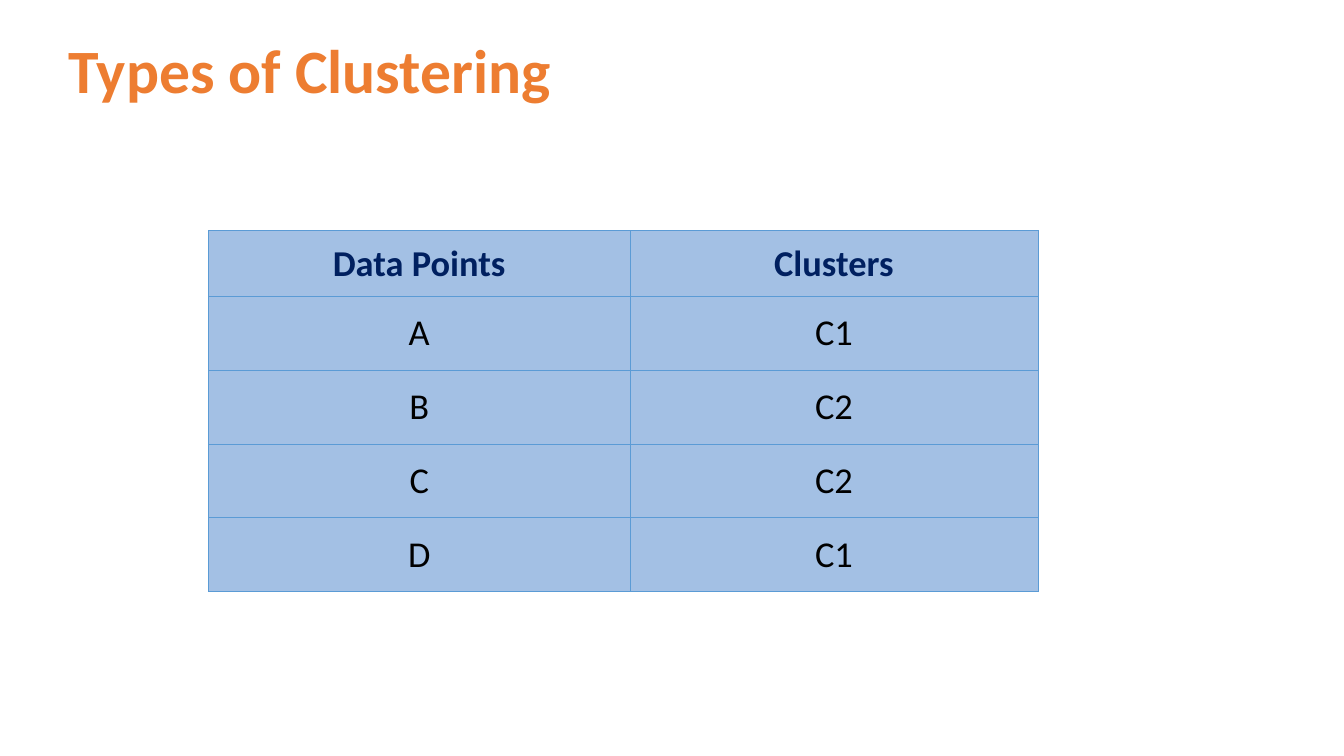
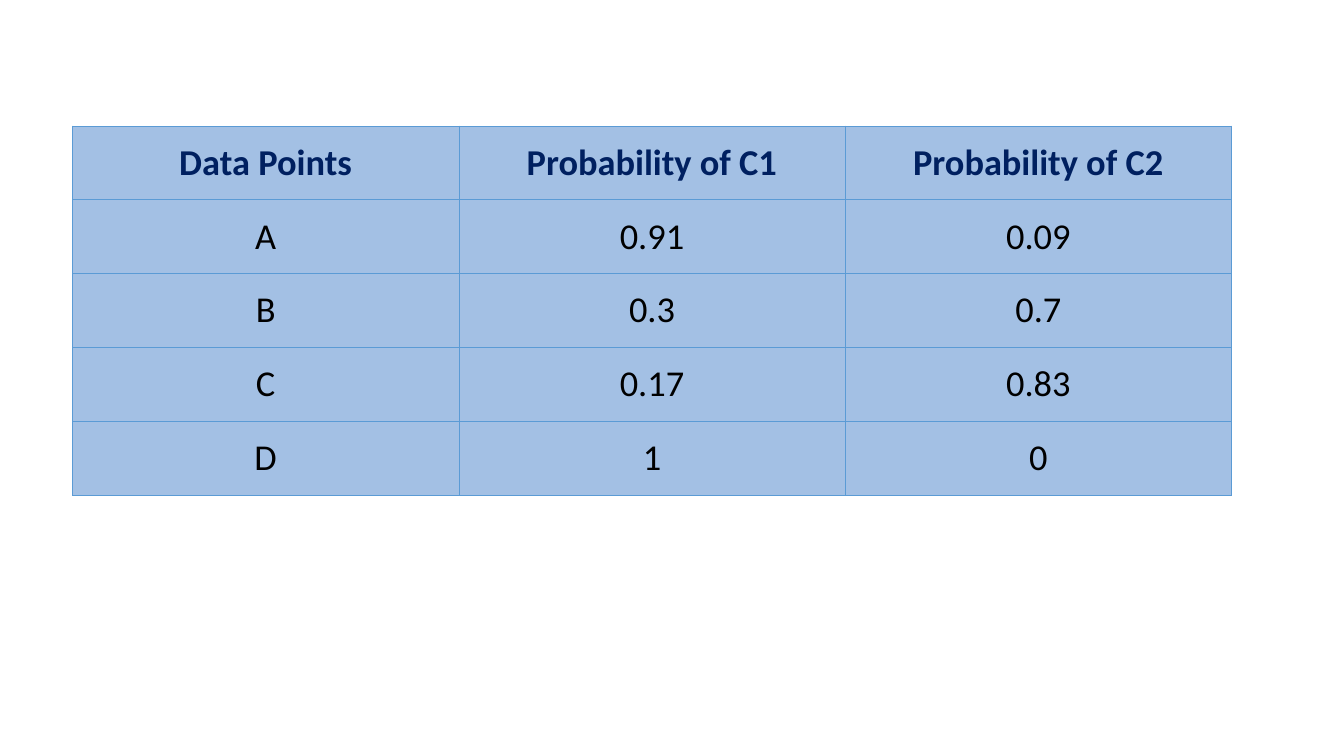
from dataclasses import dataclass

import pptx
import pptx.dml.color
import pptx.enum.text
import pptx.oxml
import pptx.oxml.ns
import pptx.presentation
import pptx.slide
import pptx.table
import pptx.text.text
import pptx.util

Pt = pptx.util.Pt
RGBColor = pptx.dml.color.RGBColor

# Shared style
FONT = "Calibri"
ORANGE = RGBColor(0xED, 0x7D, 0x31)
NAVY = RGBColor(0x00, 0x20, 0x60)
BLACK = RGBColor(0x00, 0x00, 0x00)
CELL_BLUE = RGBColor(0xA3, 0xC0, 0xE4)
BORDER_BLUE = RGBColor(0x5B, 0x9B, 0xD5)
TITLE_SIZE = 44
TABLE_SIZE = 26
SIDE_MARGIN = 7.2
ROW_MARGIN = 10.5
ROW_HEIGHT = 52.7


@dataclass(frozen=True)
class TableContent:
    left: float
    top: float
    column_widths: tuple[float, ...]
    rows: tuple[tuple[str, ...], ...]
    header_height: float = ROW_HEIGHT
    header_margin: float = ROW_MARGIN


HARD_CLUSTERS = TableContent(
    left=149,
    top=164.7,
    column_widths=(301, 291.5),
    rows=(
        ("Data Points", "Clusters"),
        ("A", "C1"),
        ("B", "C2"),
        ("C", "C2"),
        ("D", "C1"),
    ),
    header_height=47.1,
    header_margin=7.2,
)
SOFT_CLUSTERS = TableContent(
    left=51.8,
    top=90,
    column_widths=(276,) * 3,
    rows=(
        ("Data Points", "Probability of C1", "Probability of C2"),
        ("A", "0.91", "0.09"),
        ("B", "0.3", "0.7"),
        ("C", "0.17", "0.83"),
        ("D", "1", "0"),
    ),
)


def format_runs(paragraph: pptx.text.text._Paragraph, size: float,
                color: RGBColor, bold: bool) -> None:
    for run in paragraph.runs:
        run.font.name = FONT
        run.font.size = Pt(size)
        run.font.bold = bold
        run.font.color.rgb = color


def add_title(slide: pptx.slide.Slide, text: str) -> None:
    shape = slide.shapes.add_textbox(Pt(41.8), Pt(0), Pt(828), Pt(104.4))
    text_frame = shape.text_frame
    text_frame.word_wrap = True
    text_frame.vertical_anchor = pptx.enum.text.MSO_ANCHOR.MIDDLE
    text_frame.text = text
    paragraph = text_frame.paragraphs[0]
    paragraph.line_spacing = 0.9
    format_runs(paragraph, TITLE_SIZE, ORANGE, bold=True)


def add_borders(cell: pptx.table._Cell) -> None:
    properties = cell._tc.get_or_add_tcPr()
    for side in ("lnL", "lnR", "lnT", "lnB"):
        properties.append(pptx.oxml.parse_xml(
            f'<a:{side} {pptx.oxml.ns.nsdecls("a")} w="{int(Pt(0.5))}">'
            f'<a:solidFill><a:srgbClr val="{BORDER_BLUE}"/></a:solidFill>'
            f'</a:{side}>'
        ))


def fill_cell(cell: pptx.table._Cell, text: str, is_header: bool,
              vertical_margin: float) -> None:
    cell.margin_left = cell.margin_right = Pt(SIDE_MARGIN)
    cell.margin_top = cell.margin_bottom = Pt(vertical_margin)
    cell.vertical_anchor = pptx.enum.text.MSO_ANCHOR.MIDDLE
    add_borders(cell)
    cell.fill.solid()
    cell.fill.fore_color.rgb = CELL_BLUE
    cell.text_frame.text = text
    paragraph = cell.text_frame.paragraphs[0]
    paragraph.alignment = pptx.enum.text.PP_ALIGN.CENTER
    format_runs(paragraph, TABLE_SIZE, NAVY if is_header else BLACK, is_header)


def add_cluster_table(slide: pptx.slide.Slide, content: TableContent) -> None:
    heights = [content.header_height] + [ROW_HEIGHT] * (len(content.rows) - 1)
    table = slide.shapes.add_table(
        len(content.rows), len(content.column_widths),
        Pt(content.left), Pt(content.top),
        Pt(sum(content.column_widths)), Pt(sum(heights)),
    ).table
    table.horz_banding = False
    for column, width in zip(table.columns, content.column_widths):
        column.width = Pt(width)
    for row_index, (height, texts) in enumerate(zip(heights, content.rows)):
        table.rows[row_index].height = Pt(height)
        is_header = row_index == 0
        margin = content.header_margin if is_header else ROW_MARGIN
        for column_index, text in enumerate(texts):
            fill_cell(table.cell(row_index, column_index), text, is_header, margin)


def add_blank_slide(presentation: pptx.presentation.Presentation) -> pptx.slide.Slide:
    return presentation.slides.add_slide(presentation.slide_layouts[6])


def main() -> None:
    presentation = pptx.Presentation()
    presentation.slide_width = Pt(960)
    presentation.slide_height = Pt(540)

    # Each point belongs to one cluster
    slide = add_blank_slide(presentation)
    add_title(slide, "Types of Clustering")
    add_cluster_table(slide, HARD_CLUSTERS)

    # Each point has a probability per cluster
    slide = add_blank_slide(presentation)
    add_cluster_table(slide, SOFT_CLUSTERS)

    presentation.save("out.pptx")


if __name__ == "__main__":
    main()
